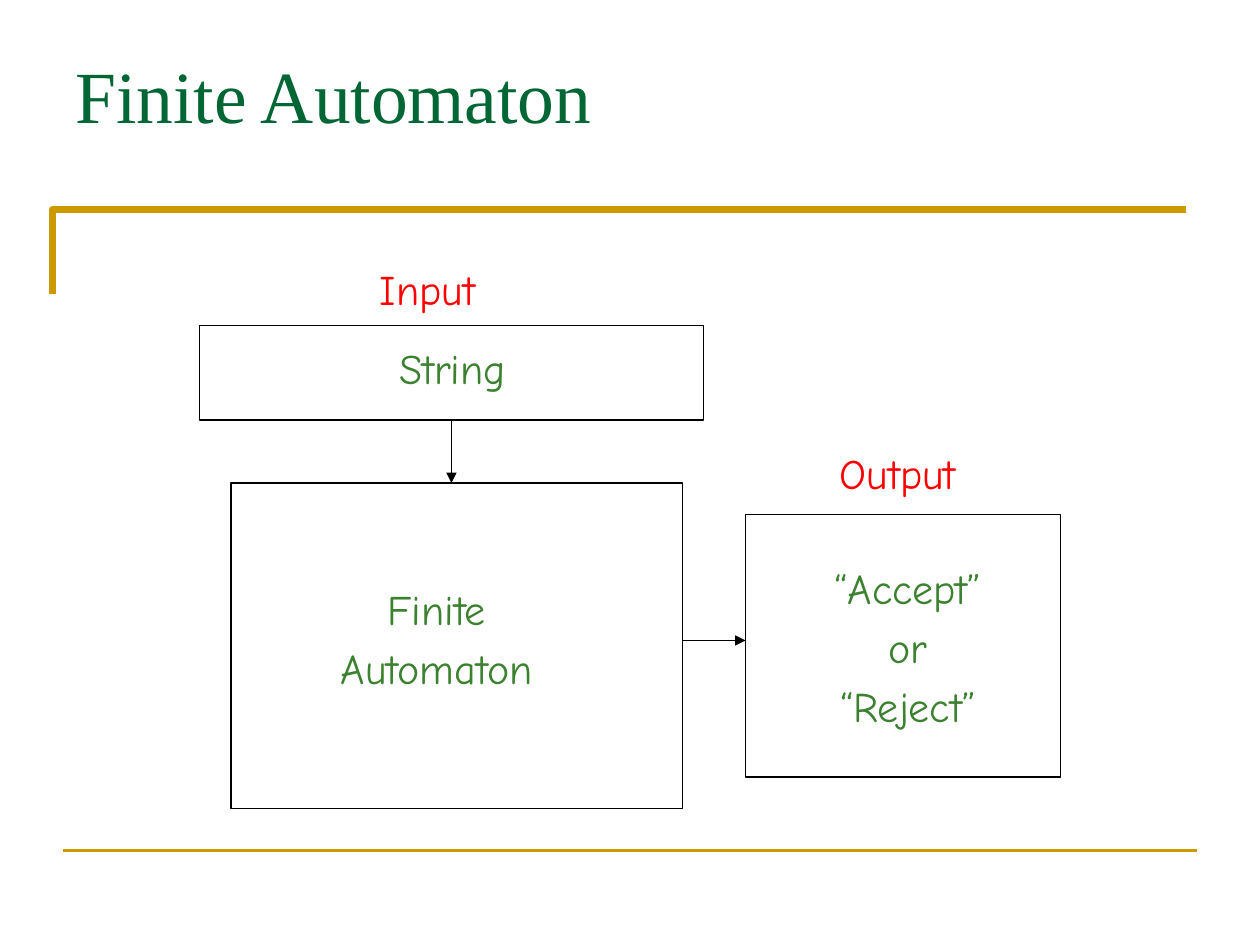
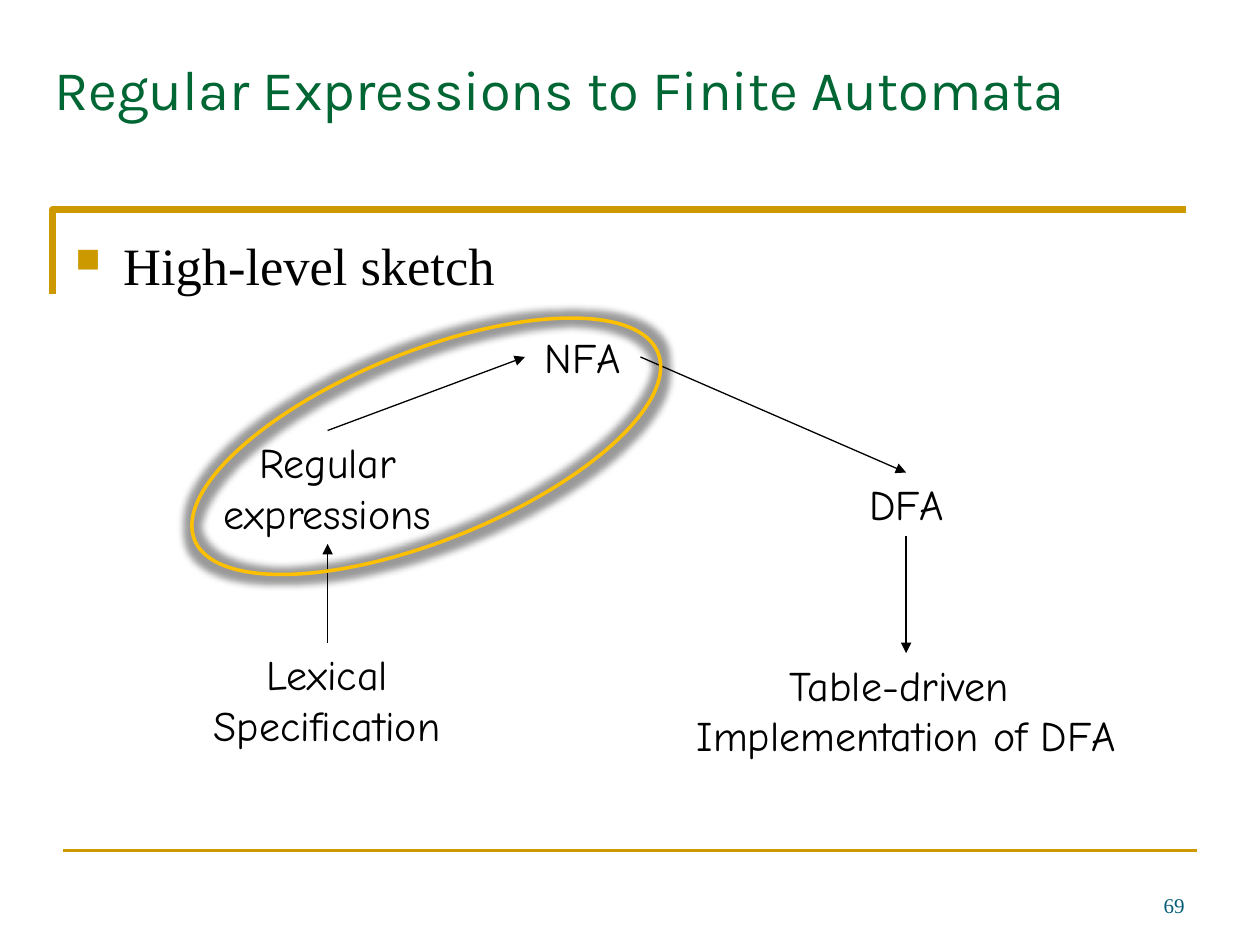
from lxml import etree
from pptx import Presentation, util as u
from pptx.dml.color import RGBColor
from pptx.enum import shapes, text
from pptx.oxml.ns import qn


class Theme:
    gold = RGBColor.from_string("CC9900")
    amber = RGBColor.from_string("FFC000")
    title = RGBColor.from_string("006633")
    label = RGBColor.from_string("FF0000")
    content = RGBColor.from_string("3B812F")
    number = RGBColor.from_string("045C75")
    ink = RGBColor.from_string("000000")
    serif, sans, hand = "Times New Roman", "Karla", "Comic Neue"
    big_title, long_title, body, diagram, footer = 42, 32, 30, 24, 12
    thin, rule, band = 0.75, 2, 4
    gap = 5
    heading_inset = u.Inches(0.1)


deck = Presentation()
deck.slide_width, deck.slide_height = u.Inches(10), u.Inches(7.5)
COLUMN = deck.slide_width / 120
ROW = deck.slide_height / 90
LEFT, CENTER, RIGHT = text.PP_ALIGN.LEFT, text.PP_ALIGN.CENTER, text.PP_ALIGN.RIGHT


def write(page, lines, area, size, color, font=Theme.hand, align=CENTER, gap=0):
    left, top, width, height = area
    box = page.shapes.add_textbox(
        int(left * COLUMN), int(top * ROW), int(width * COLUMN), int(height * ROW))
    frame = box.text_frame
    frame.word_wrap = align != CENTER
    for index, line in enumerate(lines):
        para = frame.add_paragraph() if index else frame.paragraphs[0]
        para.text = line
        para.alignment = align
        if index and gap:
            para.space_before = u.Pt(gap)
        para.font.name, para.font.size = font, u.Pt(size)
        para.font.color.rgb = color
    return frame


def draw_line(page, start, end, color, weight, arrow=False):
    line = page.shapes.add_connector(
        shapes.MSO_CONNECTOR.STRAIGHT,
        int(start[0] * COLUMN), int(start[1] * ROW),
        int(end[0] * COLUMN), int(end[1] * ROW))
    line.line.color.rgb, line.line.width = color, u.Pt(weight)
    if arrow:
        etree.SubElement(line.line._get_or_add_ln(), qn("a:tailEnd"), type="triangle")
    etree.SubElement(line._element.spPr, qn("a:effectLst"))


titles = [
    ("Finite Automaton", (6, 3.6, 108, 15), Theme.big_title, Theme.serif),
    ("Regular Expressions to Finite Automata", (4, 4, 114, 11), Theme.long_title, Theme.sans),
]
pages = []
for title, area, size, font in titles:
    page = deck.slides.add_slide(deck.slide_layouts[6])
    pages.append(page)
    pen = page.shapes.build_freeform(int(5 * COLUMN), int(28 * ROW))
    pen.add_line_segments(
        [(int(x * COLUMN), int(y * ROW)) for x, y in [(5, 20), (113, 20)]], close=False)
    bracket = pen.convert_to_shape()
    bracket.shadow.inherit = False
    bracket.fill.background()
    bracket.line.color.rgb, bracket.line.width = Theme.gold, u.Pt(Theme.band)
    draw_line(page, (6, 81), (114, 81), Theme.gold, Theme.rule)
    heading = write(page, [title], area, size, Theme.title, font, LEFT)
    heading.margin_top = Theme.heading_inset

machine, sketch = pages

for left, top, width, height in [(22, 46, 43, 31), (19, 31, 48, 9), (71, 49, 30, 25)]:
    block = machine.shapes.add_shape(
        shapes.MSO_SHAPE.RECTANGLE,
        int(left * COLUMN), int(top * ROW), int(width * COLUMN), int(height * ROW))
    block.shadow.inherit = False
    block.fill.background()
    block.line.color.rgb, block.line.width = Theme.ink, u.Pt(Theme.thin)

for lines, area, color, align in [
    (["Input"], (35, 24.5, 16.3, 7.6), Theme.label, LEFT),
    (["Output"], (78.8, 42, 20.2, 7.6), Theme.label, LEFT),
    (["String"], (35.9, 32, 14.4, 6), Theme.content, CENTER),
    (["Finite", "Automaton"], (30.2, 55, 22.8, 11.9), Theme.content, CENTER),
    (["“Accept”", "or", "“Reject”"], (77, 53, 19, 17.6), Theme.content, CENTER),
]:
    write(machine, lines, area, Theme.diagram, color, align=align, gap=Theme.gap)

bullet = write(sketch, ["High-level sketch"], (6, 21, 109, 7),
               Theme.body, Theme.ink, Theme.serif, LEFT)
bullet.margin_top = Theme.heading_inset
marks = bullet.paragraphs[0]._p.get_or_add_pPr()
marks.set("marL", str(u.Inches(0.38)))
marks.set("indent", str(-u.Inches(0.38)))
settings = [
    etree.Element(qn("a:buClr")),
    etree.Element(qn("a:buSzPct"), val="65000"),
    etree.Element(qn("a:buChar"), char="■"),
]
etree.SubElement(settings[0], qn("a:srgbClr"), val=str(Theme.gold))
for position, setting in enumerate(settings):
    marks.insert(position, setting)

for lines, area in [
    (["Regular", "expressions"], (19, 41, 24.4, 10.8)),
    (["NFA"], (50, 31, 11, 6)),
    (["DFA"], (81, 45, 10.7, 6)),
    (["Lexical", "Specification"], (17.6, 61.2, 27.1, 10.8)),
    (["Table-driven ", "Implementation of DFA"], (63.1, 62.2, 46.4, 10.8)),
]:
    write(sketch, lines, area, Theme.diagram, Theme.ink)

for page, start, end in [
    (machine, (43, 40), (43, 46)),
    (machine, (65, 61), (71, 61)),
    (sketch, (31.2, 61.2), (31.2, 51.8)),
    (sketch, (31.2, 41), (50, 34)),
    (sketch, (61, 34), (86.3, 45)),
    (sketch, (86.3, 51), (86.3, 62.2)),
]:
    draw_line(page, start, end, Theme.ink, Theme.thin, arrow=True)

highlight = sketch.shapes.add_shape(
    shapes.MSO_SHAPE.OVAL,
    int(16.8 * COLUMN), int(33.5 * ROW), int(47.6 * COLUMN), int(18 * ROW))
highlight.rotation = 338
highlight.fill.background()
highlight.line.color.rgb, highlight.line.width = Theme.amber, u.Pt(Theme.rule)
highlight.shadow.inherit = False
effects = highlight._element.spPr.find(qn("a:effectLst"))
glow = etree.SubElement(effects, qn("a:glow"), rad=str(u.Pt(8)))
shade = etree.SubElement(glow, qn("a:srgbClr"), val=str(Theme.ink))
etree.SubElement(shade, qn("a:alpha"), val="40000")

number = write(sketch, ["69"], (86, 82, 28, 6), Theme.footer, Theme.number, Theme.serif, RIGHT)
number.vertical_anchor = text.MSO_ANCHOR.BOTTOM

deck.save("out.pptx")
